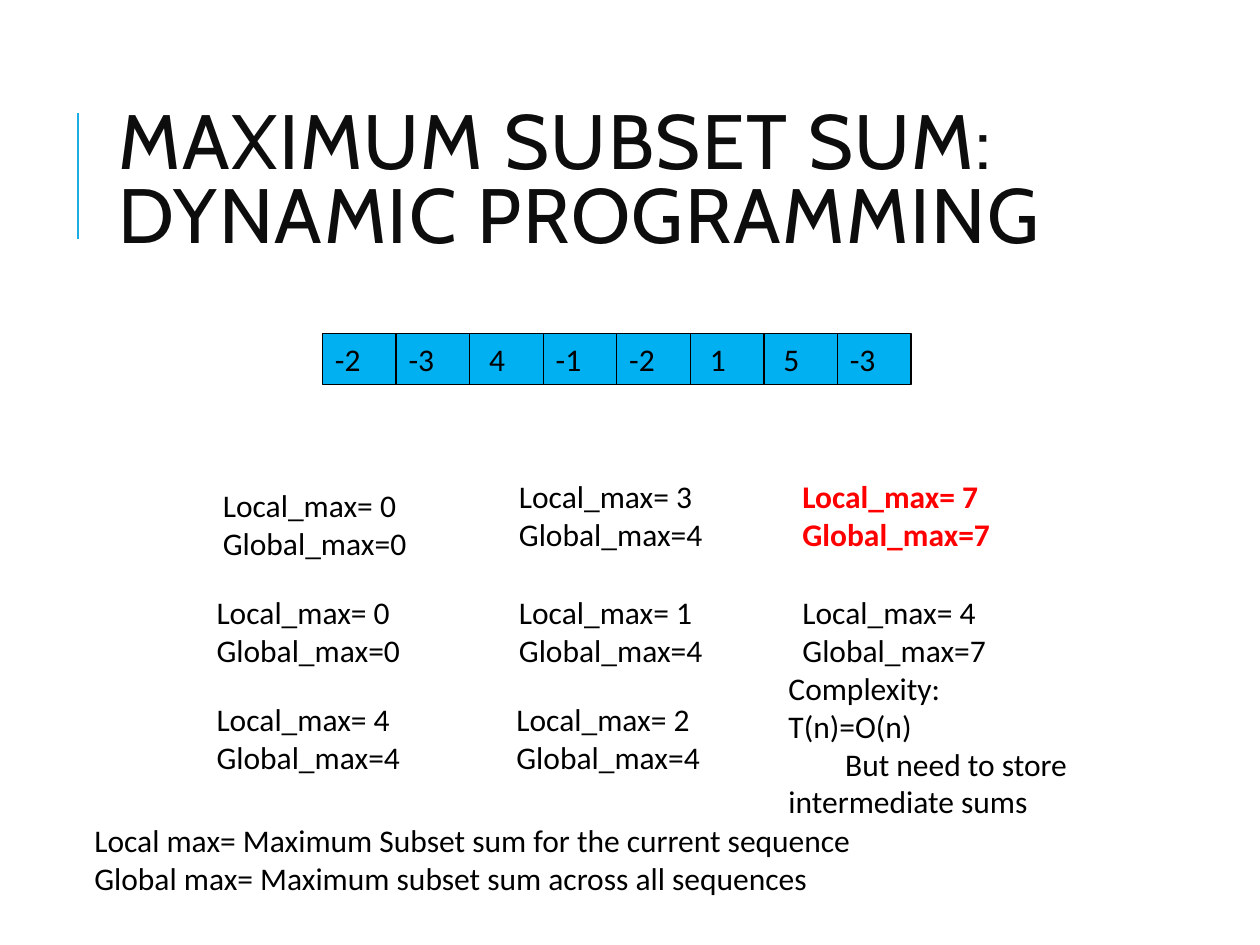
from pptx import Presentation
from pptx.dml.color import RGBColor
from pptx.enum.shapes import MSO_CONNECTOR, MSO_SHAPE
from pptx.enum.text import MSO_ANCHOR, MSO_AUTO_SIZE, PP_ALIGN
from pptx.oxml.ns import qn
from pptx.util import Pt
from lxml import etree

LINE = MSO_CONNECTOR.STRAIGHT
RECT = MSO_SHAPE.RECTANGLE
TOP, MIDDLE = MSO_ANCHOR.TOP, MSO_ANCHOR.MIDDLE
GROW, FIXED = MSO_AUTO_SIZE.SHAPE_TO_FIT_TEXT, MSO_AUTO_SIZE.NONE
LEFT = PP_ALIGN.LEFT

BLACK = RGBColor(0x00, 0x00, 0x00)
INK = RGBColor(0x0D, 0x0D, 0x0D)
RED = RGBColor(0xFF, 0x00, 0x00)
BLUE = RGBColor(0x00, 0xB0, 0xF0)
ACCENT = RGBColor(0x1C, 0xAD, 0xE4)

PX = 9144  # 100 px to the inch


def px(*sizes):
    return [round(size * PX) for size in sizes]


def write(frame, text, size=18, font="Calibri", color=BLACK, bold=False,
          anchor=TOP, fit=GROW):
    frame.text = text
    frame.word_wrap = True
    frame.auto_size = fit
    frame.vertical_anchor = anchor
    for para in frame.paragraphs:
        para.alignment = LEFT
        for run in para.runs:
            run.font.size = Pt(size)
            run.font.name = font
            run.font.bold = bold
            run.font.color.rgb = color


def add_text(slide, box, text, **style):
    frame = slide.shapes.add_textbox(*px(*box)).text_frame
    write(frame, text, **style)
    return frame


def add_title(slide, box):
    left, top, _, _ = box
    # Accent bar beside the title
    x, y = left - 22, top + 26
    bar = slide.shapes.add_connector(LINE, *px(x, y + 100, x, y))
    bar.line.color.rgb = ACCENT
    bar.line.width = Pt(1.5)
    etree.SubElement(bar._element.spPr, qn("a:effectLst"))

    # Title with a line break
    frame = add_text(slide, box, "MAXIMUM SUBSET SUM: \vDYNAMIC PROGRAMMING",
                     size=44, font="Cabin", color=INK, anchor=MIDDLE, fit=FIXED)
    para = frame.paragraphs[0]
    para.line_spacing = 0.8
    for run in para.runs:
        run.font._element.set("spc", "100")


def add_array(slide, box, values):
    left, top, width, height = box
    step = width / len(values)
    for i, value in enumerate(values):
        cell = slide.shapes.add_shape(
            RECT, *px(left + i * step, top, step, height))
        cell.shadow.inherit = False
        cell.fill.solid()
        cell.fill.fore_color.rgb = BLUE
        cell.line.color.rgb = BLACK
        cell.line.width = Pt(0.75)
        write(cell.text_frame, value)


def add_states(slide, box, states):
    left, top, width, height = box
    for x, y, local, best in states:
        peak = local == best == 7
        add_text(slide, (left + x, top + y, width, height),
                 f"Local_max= {local}\nGlobal_max={best}",
                 color=RED if peak else BLACK, bold=peak)


def add_notes(slide, box):
    frame = add_text(slide, box, "Complexity:\nT(n)=O(n)\n"
                     "But need to store intermediate sums")
    # First-line indent of the last paragraph
    props = frame.paragraphs[-1]._p.get_or_add_pPr()
    props.set("marL", "0")
    props.set("indent", str(45 * PX))


def main():
    deck = Presentation()
    deck.slide_width, deck.slide_height = px(1000, 750)
    slide = deck.slides.add_slide(deck.slide_layouts[6])

    add_title(slide, (84, 64, 797, 164))
    add_array(slide, (256, 265, 467, 40),
              ["-2", "-3", " 4", "-1", "-2", " 1", " 5", "-3"])
    # Offset of each state, its local and its global maximum
    add_states(slide, (162, 374, 222, 71), [
        (5, 7, 0, 0), (0, 92, 0, 0), (0, 177, 4, 4),
        (240, 0, 3, 4), (240, 92, 1, 4), (238, 177, 2, 4),
        (465, 0, 7, 7), (465, 92, 4, 7),
    ])
    add_notes(slide, (616, 526, 333, 131))
    # Meaning of the two maxima
    add_text(slide, (65, 647, 791, 71),
             "Local max= Maximum Subset sum for the current sequence\n"
             "Global max= Maximum subset sum across all sequences")
    deck.save("out.pptx")


if __name__ == "__main__":
    main()
